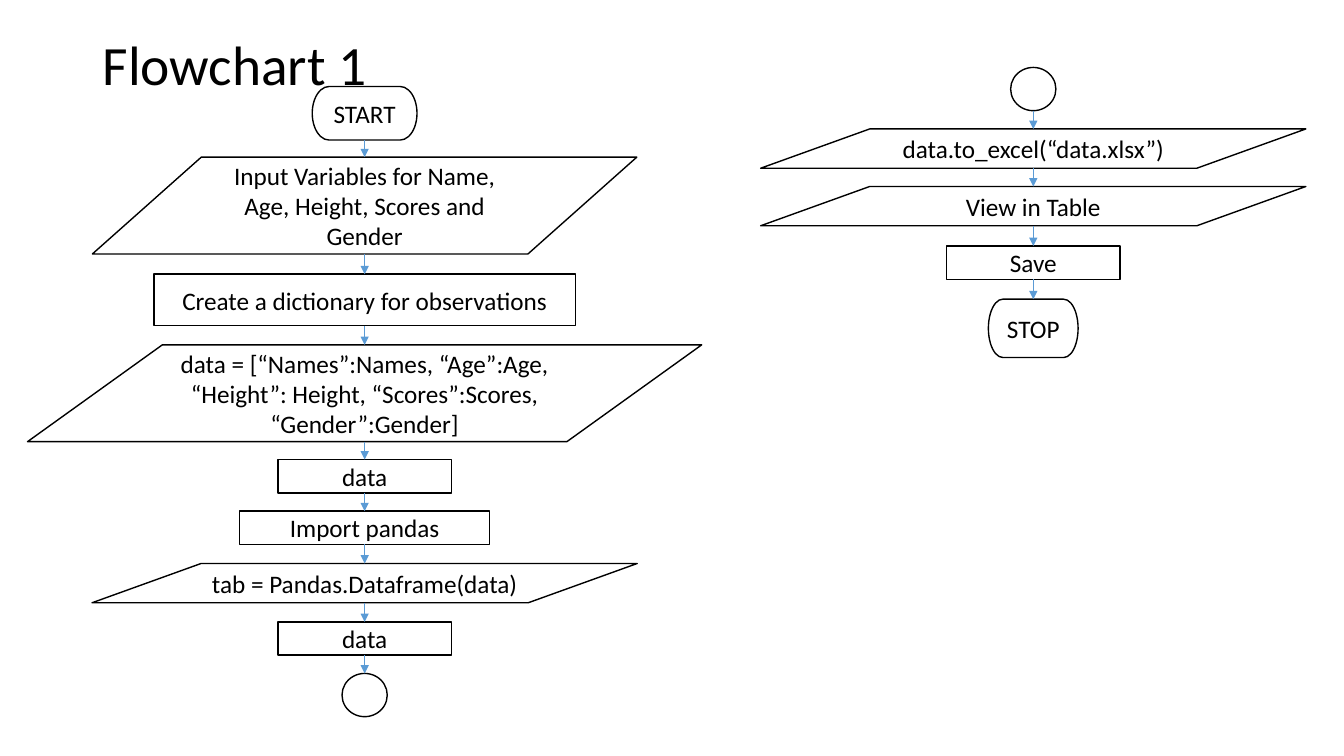
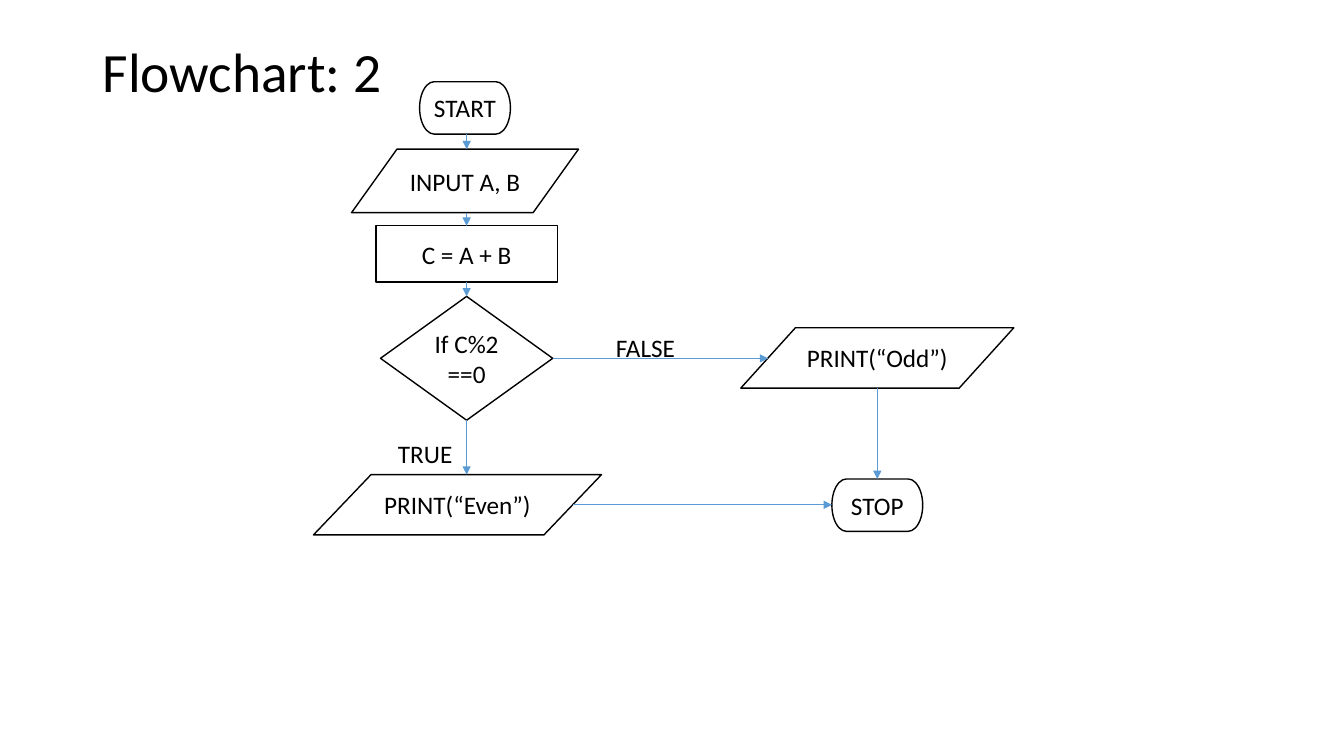
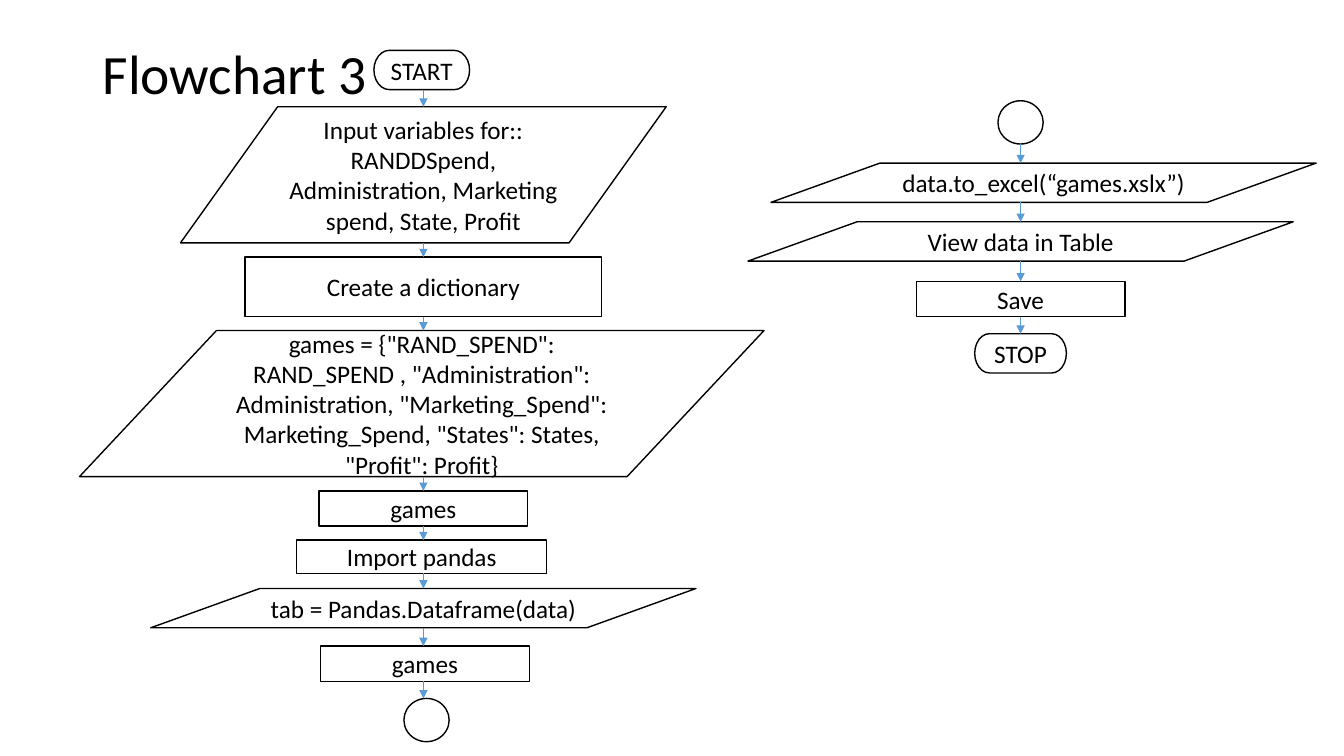
import pptx
import pptx.util
import pptx.dml.color
import pptx.enum.shapes
import pptx.enum.text
import pptx.oxml
import pptx.oxml.ns

Cm = pptx.util.Cm
Pt = pptx.util.Pt
Kind = pptx.enum.shapes.MSO_SHAPE
Align = pptx.enum.text.PP_ALIGN
Anchor = pptx.enum.text.MSO_ANCHOR

BLACK = pptx.dml.color.RGBColor(0x00, 0x00, 0x00)
WHITE = pptx.dml.color.RGBColor(0xFF, 0xFF, 0xFF)
BLUE = pptx.dml.color.RGBColor(0x5B, 0x9B, 0xD5)
FONT = "Calibri"
BODY = 18
HEAD = 39.6

END = Kind.FLOWCHART_TERMINATOR
DATA = Kind.FLOWCHART_DATA
STEP = Kind.FLOWCHART_PROCESS
TEST = Kind.FLOWCHART_DECISION
JOIN = Kind.FLOWCHART_CONNECTOR

DOT = (1.14, 1.09)
CALL = (13.74, 0.99)
LOAD = (6.3, 0.84)
SLIM = (4.37, 0.84)
WIDE = (5.26, 0.89)
PILL = (2.29, 1.32)


def write(frame, text, size, align):
    frame.word_wrap = True
    for num, line in enumerate(text.split("\n")):
        para = frame.add_paragraph() if num else frame.paragraphs[0]
        para.alignment = align
        run = para.add_run()
        run.text = line
        run.font.name = FONT
        run.font.size = Pt(size)
        run.font.color.rgb = BLACK


def label(slide, left, top, width, height, text, size=BODY):
    box = slide.shapes.add_textbox(Cm(left), Cm(top), Cm(width), Cm(height))
    write(box.text_frame, text, size, Align.LEFT)
    return box.text_frame


def start(deck, text, height):
    slide = deck.slides.add_slide(deck.slide_layouts[6])
    frame = label(slide, 2.34, 1.02, 29.21, height, text, HEAD)
    frame.vertical_anchor = Anchor.MIDDLE
    frame.paragraphs[0].line_spacing = 0.9
    return slide


def node(slide, mid, kind, top, size, text="", shift=0):
    width, height = size
    left = mid + shift - width / 2
    shape = slide.shapes.add_shape(kind, Cm(left), Cm(top), Cm(width), Cm(height))
    shape.shadow.inherit = False
    shape.fill.solid()
    shape.fill.fore_color.rgb = WHITE
    shape.line.color.rgb = BLACK
    shape.line.width = Pt(1)
    if text:
        shape.text_frame.vertical_anchor = Anchor.MIDDLE
        write(shape.text_frame, text, BODY, Align.CENTER)
    return shape


def arrow(slide, x1, y1, x2, y2):
    straight = pptx.enum.shapes.MSO_CONNECTOR.STRAIGHT
    line = slide.shapes.add_connector(straight, x1, y1, x2, y2)
    line.line.color.rgb = BLUE
    line.line.width = Pt(0.5)
    tip = pptx.oxml.parse_xml(
        '<a:tailEnd %s type="triangle"/>' % pptx.oxml.ns.nsdecls("a"))
    line.line._get_or_add_ln().append(tip)
    bare = pptx.oxml.parse_xml('<a:effectLst %s/>' % pptx.oxml.ns.nsdecls("a"))
    line._element.spPr.append(bare)


def chain(slide, mid, steps):
    nodes = [node(slide, mid, *step) for step in steps]
    for up, down in zip(nodes, nodes[1:]):
        arrow(slide, Cm(mid), up.top + up.height, Cm(mid), down.top)
    return nodes


def slant(shape):
    return shape.width // 10 if shape.auto_shape_type == DATA else 0


def across(slide, near, far):
    level = near.top + near.height // 2
    arrow(slide, near.left + near.width - slant(near), level,
          far.left + slant(far), level)


def first(deck):
    slide = start(deck, "Flowchart 1", 1.35)
    chain(slide, 9.19, [
        (END, 2.18, (2.64, 1.35), "START"),
        (DATA, 3.96, (13.72, 2.44),
         "Input Variables for Name, Age, Height, Scores and Gender"),
        (STEP, 6.91, (10.62, 1.3), "Create a dictionary for observations"),
        (DATA, 8.69, (16.99, 2.44),
         "data = [“Names”:Names, “Age”:Age, “Height”: Height, "
         "“Scores”:Scores, “Gender”:Gender]"),
        (STEP, 11.58, SLIM, "data"),
        (STEP, 12.88, LOAD, "Import pandas"),
        (DATA, 14.2, CALL, "tab = Pandas.Dataframe(data)"),
        (STEP, 15.67, SLIM, "data"),
        (JOIN, 16.97, DOT),
    ])
    chain(slide, 26.04, [
        (JOIN, 1.7, DOT),
        (DATA, 3.25, CALL, "data.to_excel(“data.xlsx”)"),
        (DATA, 4.7, CALL, "View in Table"),
        (STEP, 6.2, SLIM, "Save"),
        (END, 7.54, (2.26, 1.47), "STOP"),
    ])


def second(deck):
    slide = start(deck, "Flowchart: 2", 1.7)
    main_col = chain(slide, 11.76, [
        (END, 2.06, PILL, "START", -0.04),
        (DATA, 3.76, (5.72, 1.6), "INPUT A, B", -0.04),
        (STEP, 5.69, (4.57, 1.42), "C = A + B"),
        (TEST, 7.47, (4.34, 3.12), "If C%2 ==0"),
        (DATA, 11.96, (7.26, 1.52), "PRINT(“Even”)", -0.23),
    ])
    odd, stop = chain(slide, 22.11, [
        (DATA, 8.26, (6.88, 1.52), "PRINT(“Odd”)"),
        (END, 12.07, PILL, "STOP"),
    ])
    test, even = main_col[-2:]
    across(slide, test, odd)
    across(slide, even, stop)
    label(slide, 9.78, 10.92, 2.44, 1.02, "TRUE")
    label(slide, 15.27, 8.26, 2.44, 1.02, "FALSE")


def third(deck):
    slide = start(deck, "Flowchart 3", 1.8)
    chain(slide, 10.67, [
        (END, 1.27, (2.41, 0.99), "START", -0.04),
        (DATA, 2.69, (12.24, 3.43),
         "Input variables for::\n"
         "RANDDSpend, Administration, Marketing spend, State, Profit"),
        (STEP, 6.48, (8.99, 1.5), "Create a dictionary"),
        (DATA, 8.33, (17.25, 3.68),
         'games = {"RAND_SPEND": RAND_SPEND , "Administration": '
         'Administration, "Marketing_Spend": Marketing_Spend, '
         '"States": States, "Profit": Profit}', -0.04),
        (STEP, 12.37, WIDE, "games"),
        (STEP, 13.61, LOAD, "Import pandas", -0.04),
        (DATA, 14.83, CALL, "tab = Pandas.Dataframe(data)"),
        (STEP, 16.28, WIDE, "games", 0.04),
        (JOIN, 17.6, DOT, "", 0.08),
    ])
    chain(slide, 25.72, [
        (JOIN, 2.54, DOT),
        (DATA, 4.11, CALL, "data.to_excel(“games.xslx”)", 0.58),
        (DATA, 5.59, CALL, "View data in Table"),
        (STEP, 7.09, WIDE, "Save"),
        (END, 8.41, (2.31, 0.99), "STOP"),
    ])


def main():
    deck = pptx.Presentation()
    deck.slide_width = Cm(33.87)
    deck.slide_height = Cm(19.05)
    first(deck)
    second(deck)
    third(deck)
    deck.save("out.pptx")


main()
